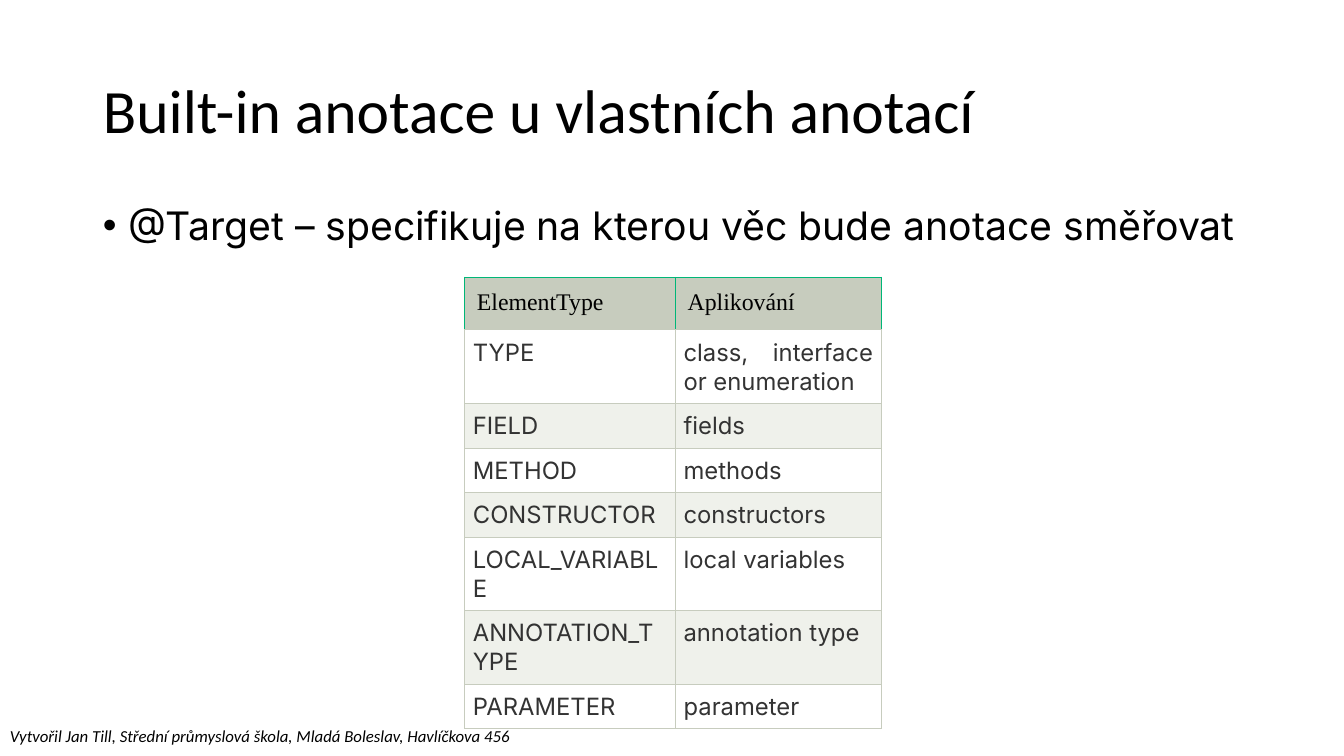
from dataclasses import dataclass

from lxml.etree import SubElement
from pptx import Presentation
from pptx.dml.color import RGBColor
from pptx.enum.text import MSO_ANCHOR, MSO_AUTO_SIZE, PP_ALIGN
from pptx.oxml.ns import qn
from pptx.util import Inches, Pt

LEFT, JUST = PP_ALIGN.LEFT, PP_ALIGN.JUSTIFY
MIDDLE, TOP = MSO_ANCHOR.MIDDLE, MSO_ANCHOR.TOP
NO_FIT, GROW = MSO_AUTO_SIZE.NONE, MSO_AUTO_SIZE.SHAPE_TO_FIT_TEXT
COLORS = {"black": "000000", "text": "333333", "white": "FFFFFF",
          "band": "EFF1EB", "head": "C7CCBE", "green": "00B677"}


@dataclass
class Style:
    font: str
    size: float
    color: str = "black"
    align: PP_ALIGN = LEFT
    italic: bool = False


@dataclass
class Look:
    style: Style
    fill: str
    inset: float
    edge: str


TITLE = Style("Calibri", 44)
BODY = Style("Inter", 28, align=JUST)
CREDIT = Style("Calibri", 12, italic=True)
HEAD = Look(Style("Times New Roman", 17), "head", 0.12, "green")
CELL = Style("Inter", 17, "text", JUST)
BANDS = [Look(CELL, fill, 0.08, "head") for fill in ("band", "white")]
ROWS = [
    ("ElementType", "Aplikování"),
    ("TYPE", "class, interface or enumeration"),
    ("FIELD", "fields"),
    ("METHOD", "methods"),
    ("CONSTRUCTOR", "constructors"),
    ("LOCAL_VARIABLE", "local variables"),
    ("ANNOTATION_TYPE", "annotation type"),
    ("PARAMETER", "parameter"),
]
WIDTHS = (2.09, 2.04)
HEIGHTS = (0.48, 0.65) + (0.39,) * 6


def paint(name: str) -> RGBColor:
    """Return the named colour."""
    return RGBColor.from_string(COLORS[name])


def write(frame, text: str, style: Style):
    """Write one styled run and return its paragraph."""
    para = frame.paragraphs[0]
    para.alignment = style.align
    run = para.add_run()
    run.text = text
    font = run.font
    font.name, font.size, font.italic = style.font, Pt(style.size), style.italic
    font.color.rgb = paint(style.color)
    return para


def place(shape, left: float, top: float, width: float, height: float) -> None:
    """Move and size a shape in inches."""
    shape.left, shape.top = Inches(left), Inches(top)
    shape.width, shape.height = Inches(width), Inches(height)


def add_edge(cell, side: str, color: str) -> None:
    """Add a thin line to one side of a cell."""
    props = cell._tc.get_or_add_tcPr()
    line = SubElement(props, qn(f"a:ln{side}"), w=str(Pt(0.75)))
    fill = SubElement(line, qn("a:solidFill"))
    SubElement(fill, qn("a:srgbClr"), val=COLORS[color])


def fill_cell(cell, text: str, look: Look) -> None:
    """Format a table cell and write its text."""
    for side in "LRT":
        add_edge(cell, side, look.edge)
    add_edge(cell, "B", "head")
    cell.fill.solid()
    cell.fill.fore_color.rgb = paint(look.fill)
    cell.margin_left = cell.margin_right = Inches(look.inset)
    cell.margin_top = cell.margin_bottom = Inches(look.inset)
    write(cell.text_frame, text, look.style)


def add_grid(slide) -> None:
    """Add the table of element types."""
    table = slide.shapes.add_table(
        len(ROWS), len(WIDTHS), Inches(4.61), Inches(2.75),
        Inches(sum(WIDTHS)), Inches(sum(HEIGHTS))).table
    table.first_row = table.horz_banding = False
    for col, width in zip(table.columns, WIDTHS):
        col.width = Inches(width)
    for row, height in zip(table.rows, HEIGHTS):
        row.height = Inches(height)
    for r, texts in enumerate(ROWS):
        look = BANDS[r % 2] if r else HEAD
        for c, text in enumerate(texts):
            fill_cell(table.cell(r, c), text, look)


def main() -> None:
    """Build and save the slide."""
    deck = Presentation()
    deck.slide_width, deck.slide_height = Inches(13.33), Inches(7.5)
    slide = deck.slides.add_slide(deck.slide_layouts[1])

    title, body = slide.placeholders
    place(title, 0.92, 0.4, 11.5, 1.45)
    place(body, 0.92, 2, 11.5, 4.76)
    for shape, anchor in ((title, MIDDLE), (body, TOP)):
        shape.text_frame.auto_size = NO_FIT
        shape.text_frame.vertical_anchor = anchor
    para = write(title.text_frame, "Built-in anotace u vlastních anotací", TITLE)
    para.line_spacing = 0.9
    para = write(body.text_frame,
                 "@Target – specifikuje na kterou věc bude anotace směřovat", BODY)
    para.line_spacing, para.space_before = 0.9, Pt(10)
    props = para._p.get_or_add_pPr()
    props.set("marL", str(Inches(0.25)))
    props.set("indent", str(Inches(-0.25)))
    SubElement(props, qn("a:buFont"), typeface="Arial")
    SubElement(props, qn("a:buChar"), char="•")

    credit = slide.shapes.add_textbox(
        Inches(0), Inches(7.15), Inches(5.21), Inches(0.3)).text_frame
    credit.word_wrap, credit.auto_size = False, GROW
    write(credit, "Vytvořil Jan Till, Střední průmyslová škola, "
                  "Mladá Boleslav, Havlíčkova 456", CREDIT)
    add_grid(slide)
    deck.save("out.pptx")


if __name__ == "__main__":
    main()
